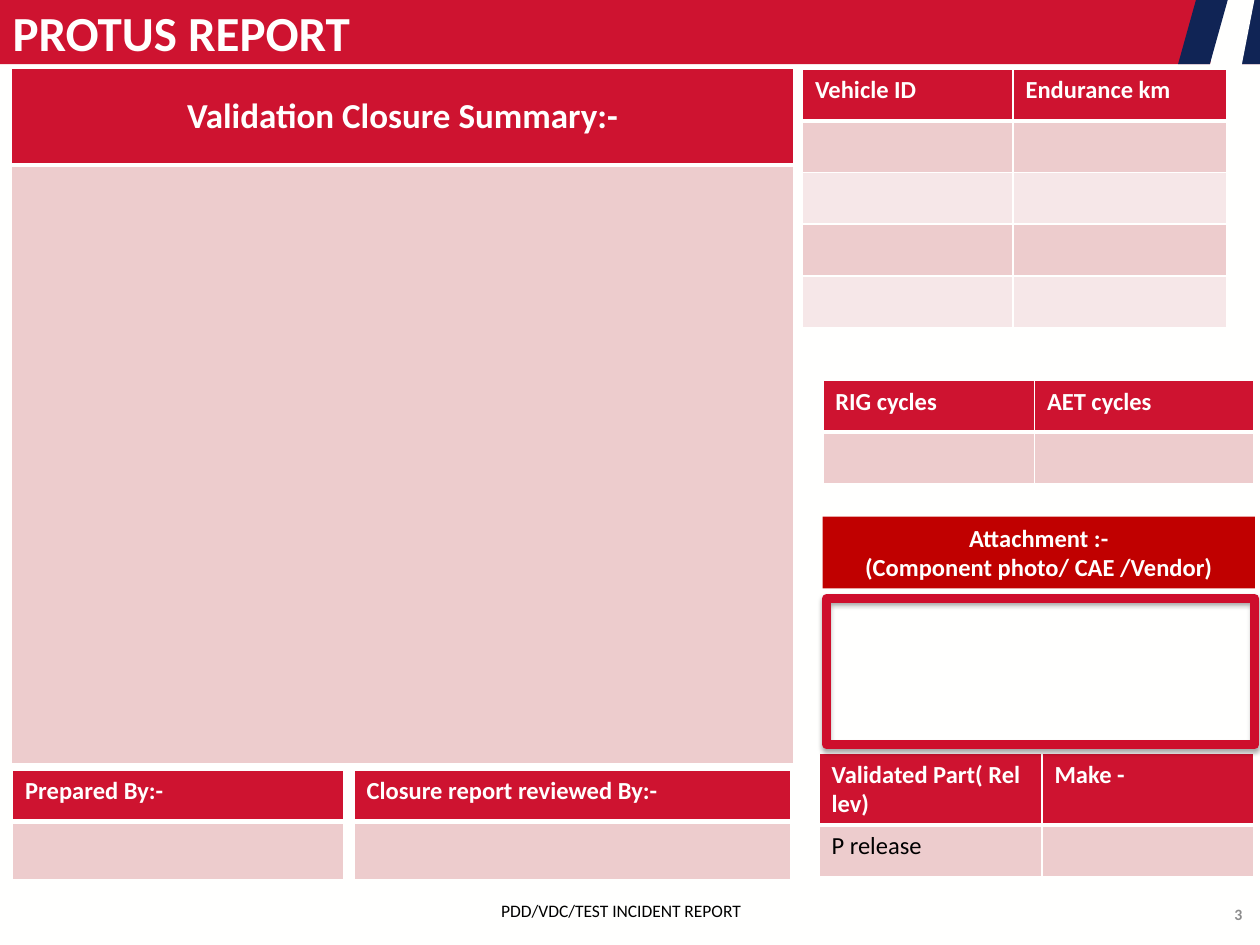
"""Build the validation closure report slide."""
import lxml.etree
import pptx
import pptx.dml.color
import pptx.enum.shapes
import pptx.enum.text
import pptx.oxml
import pptx.oxml.ns
import pptx.util

Inches = pptx.util.Inches
Pt = pptx.util.Pt
SHAPE = pptx.enum.shapes.MSO_SHAPE
ALIGN = pptx.enum.text.PP_ALIGN
ANCHOR = pptx.enum.text.MSO_ANCHOR

THEME = {
    "font": "Calibri", "white": "FFFFFE", "red": "CE1330", "navy": "102455",
    "rose": "EDCCCD", "pale": "F6E7E8", "frame": "CE0E2C", "brick": "C00000",
    "ink": "000000", "grey": "8C8C8C",
    "title": 28, "head": 20, "body": 14, "foot": 10, "page": 9,
    "thin": 1, "thick": 3, "edge": 5,
}

TITLE = ("PROTUS REPORT", (0, 0, 10, 0.51))
STRIPES = [
    (SHAPE.RECTANGLE, (9.61, -0.02, 0.39, 0.53), "navy"),
    (SHAPE.PARALLELOGRAM, (9.56, -0.02, 0.4, 0.76), "white"),
    (SHAPE.PARALLELOGRAM, (9.35, -0.02, 0.4, 0.53), "navy"),
]
SLANT = 0.37
NOTES = [
    ("3", (9.53, 7.07, 0.33, 0.26), 0,
     {"size": "page", "color": "grey", "bold": True, "align": ALIGN.RIGHT},
     ANCHOR.BOTTOM),
    ("PDD/VDC/TEST INCIDENT REPORT", (3.88, 7.09, 2.13, 0.27), 0.1,
     {"size": "foot", "color": "ink"}, ANCHOR.TOP),
]
TABLES = [
    {"at": (0.09, 0.54), "cols": [6.21], "rows": [0.77, 4.75],
     "text": [["Validation Closure Summary:-"], [""]],
     "head": {"size": "head", "align": ALIGN.CENTER}, "anchor": ANCHOR.MIDDLE},
    {"at": (6.5, 5.98), "cols": [1.77, 1.68], "rows": [0.56, 0.41],
     "text": [["Validated Part( Rel lev)", "Make -"], ["P release", ""]]},
    {"at": (6.37, 0.55), "cols": [1.67, 1.7], "rows": [0.41] * 5,
     "text": [["Vehicle ID", "Endurance km"]] + [["", ""]] * 4},
    {"at": (6.53, 3.02), "cols": [1.68, 1.74], "rows": [0.41, 0.41],
     "text": [["RIG cycles", "AET cycles"], ["", ""]]},
    {"at": (2.81, 6.11), "cols": [3.47], "rows": [0.41, 0.46],
     "text": [["Closure report reviewed By:-"], [""]]},
    {"at": (0.1, 6.11), "cols": [2.63], "rows": [0.41, 0.46],
     "text": [["Prepared By:-"], [""]]},
]
PHOTO = (6.56, 4.75, 3.4, 1.16)
LABEL = ("Attachment :-\n(Component photo/ CAE /Vendor)", (6.53, 4.1, 3.43, 0.57))
SHADOW = (
    '<a:effectLst %s><a:outerShdw blurRad="39370" dist="22860" dir="5400000" '
    'rotWithShape="0"><a:srgbClr val="000000"><a:alpha val="35000"/></a:srgbClr>'
    '</a:outerShdw></a:effectLst>' % pptx.oxml.ns.nsdecls("a"))


def tint(name):
    return pptx.dml.color.RGBColor.from_string(THEME[name])


def paint(fill, name):
    fill.solid()
    fill.fore_color.rgb = tint(name)


def apply(thing, values):
    for name, value in values.items():
        setattr(thing, name, value)


def write(frame, text, size="body", color="white", bold=False, align=ALIGN.LEFT):
    frame.text = text
    for para in frame.paragraphs:
        para.alignment = align
        apply(para.font, {"name": THEME["font"], "size": Pt(THEME[size]), "bold": bold})
        para.font.color.rgb = tint(color)


def place(shape, box):
    apply(shape, dict(zip(("left", "top", "width", "height"), map(Inches, box))))


def add_block(slide, kind, box, fill=None):
    shape = slide.shapes.add_shape(kind, *map(Inches, box))
    shape.shadow.inherit = False
    shape.line.fill.background()
    if fill:
        paint(shape.fill, fill)
    else:
        shape.fill.background()
    return shape


def add_note(slide, text, box, inset, style, anchor):
    frame = slide.shapes.add_textbox(*map(Inches, box)).text_frame
    apply(frame, {"word_wrap": True, "vertical_anchor": anchor,
                  "margin_left": Inches(inset), "margin_right": Inches(inset),
                  "margin_top": Inches(inset / 2), "margin_bottom": Inches(inset / 2)})
    write(frame, text, **style)


def add_rules(cell, widths):
    props = cell._tc.get_or_add_tcPr()
    for spot, (side, width) in enumerate(widths.items()):
        line = pptx.oxml.parse_xml(
            '<a:ln%s %s w="%d"><a:solidFill><a:srgbClr val="%s"/></a:solidFill></a:ln%s>'
            % (side, pptx.oxml.ns.nsdecls("a"), Pt(width), THEME["white"], side))
        props.insert(spot, line)


def add_grid(slide, data):
    rows, cols = data["rows"], data["cols"]
    box = (*data["at"], sum(cols), sum(rows))
    table = slide.shapes.add_table(len(rows), len(cols), *map(Inches, box)).table
    for col, width in zip(table.columns, cols):
        col.width = Inches(width)
    for r, height in enumerate(rows):
        table.rows[r].height = Inches(height)
        fill = "red" if r == 0 else "rose" if r % 2 else "pale"
        style = {"bold": True, **data.get("head", {})} if r == 0 else {"color": "ink"}
        rules = {"L": THEME["thin"], "R": THEME["thin"],
                 "T": THEME["thick" if r == 1 else "thin"],
                 "B": THEME["thick" if r == 0 else "thin"]}
        for c, text in enumerate(data["text"][r]):
            cell = table.cell(r, c)
            write(cell.text_frame, text, **style)
            cell.vertical_anchor = data.get("anchor", ANCHOR.TOP)
            paint(cell.fill, fill)
            add_rules(cell, rules)


def main():
    deck = pptx.Presentation()
    apply(deck, {"slide_width": Inches(10), "slide_height": Inches(7.5)})
    slide = deck.slides.add_slide(deck.slide_layouts[5])
    paint(slide.background.fill, "white")

    title = slide.shapes.title
    place(title, TITLE[1])
    paint(title.fill, "red")
    write(title.text_frame, TITLE[0], "title", bold=True)
    title.text_frame.vertical_anchor = ANCHOR.MIDDLE

    for kind, box, fill in STRIPES:
        stripe = add_block(slide, kind, box, fill)
        if kind == SHAPE.PARALLELOGRAM:
            stripe.adjustments[0] = SLANT
    for note in NOTES:
        add_note(slide, *note)
    for data in TABLES:
        add_grid(slide, data)

    photo = add_block(slide, SHAPE.RECTANGLE, PHOTO)
    paint(photo.line.fill, "frame")
    photo.line.width = Pt(THEME["edge"])
    lxml.etree.SubElement(photo.line._ln, pptx.oxml.ns.qn("a:round"))
    props = photo._element.spPr
    props.replace(props.find(pptx.oxml.ns.qn("a:effectLst")), pptx.oxml.parse_xml(SHADOW))

    label = add_block(slide, SHAPE.RECTANGLE, LABEL[1], "brick")
    write(label.text_frame, LABEL[0], bold=True, align=ALIGN.CENTER)
    label.text_frame.vertical_anchor = ANCHOR.TOP
    deck.save("out.pptx")


if __name__ == "__main__":
    main()
